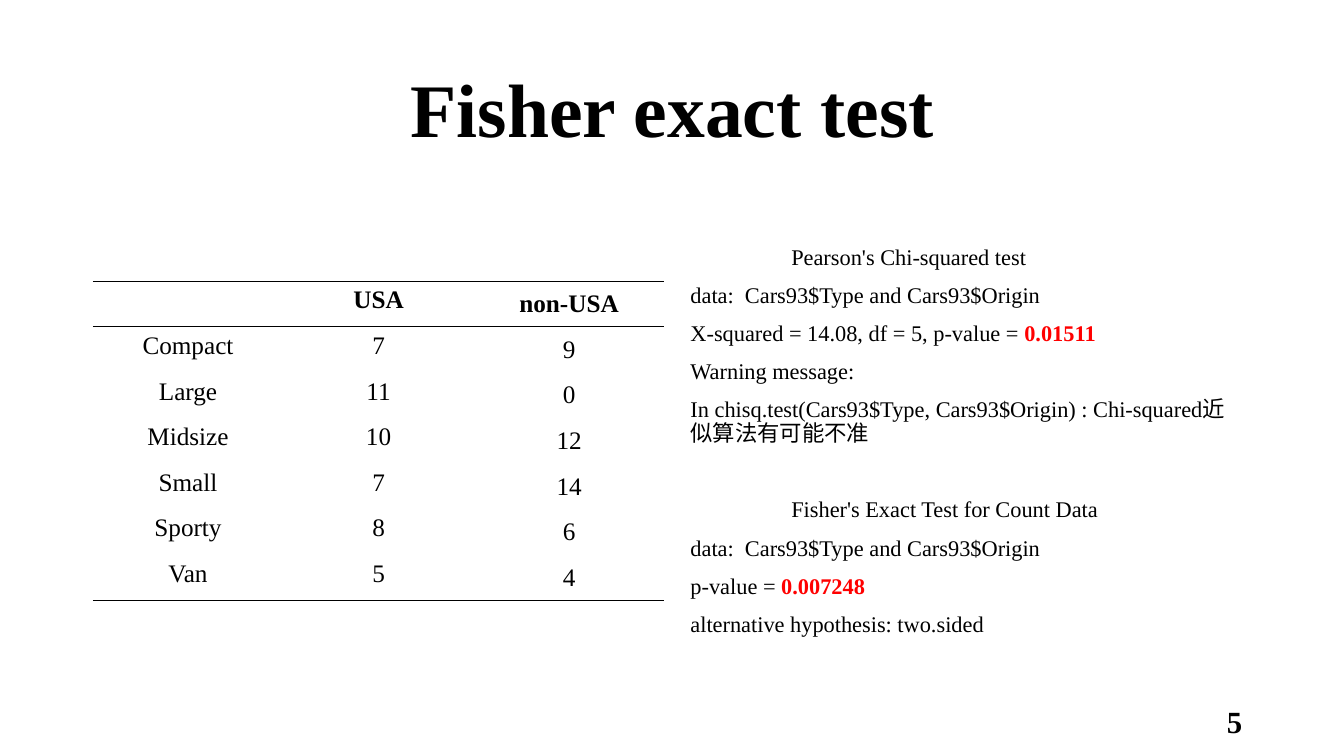
from dataclasses import dataclass

from lxml.etree import SubElement
from pptx import Presentation
from pptx.dml.color import RGBColor as Rgb
from pptx.enum.text import MSO_ANCHOR as Anchor, PP_ALIGN as Align
from pptx.oxml import parse_xml
from pptx.oxml.ns import qn
from pptx.util import Inches, Pt

# Content
TITLE = "Fisher exact test"
PAGE = "5"
CAR_COUNTS = [
    ("", "USA", "non-USA"),
    ("Compact", "7", "9"),
    ("Large", "11", "0"),
    ("Midsize", "10", "12"),
    ("Small", "7", "14"),
    ("Sporty", "8", "6"),
    ("Van", "5", "4"),
]
# Each test: heading, then lines as (plain text, highlighted text)
TESTS = [
    ("Pearson's Chi-squared test", [
        ("data:  Cars93$Type and Cars93$Origin", ""),
        ("X-squared = 14.08, df = 5, p-value = ", "0.01511"),
        ("Warning message:", ""),
        ("In chisq.test(Cars93$Type, Cars93$Origin) : Chi-squared近似算法有可能不准", ""),
    ]),
    ("Fisher's Exact Test for Count Data", [
        ("data:  Cars93$Type and Cars93$Origin", ""),
        ("p-value = ", "0.007248"),
        ("alternative hypothesis: two.sided", ""),
    ]),
]


@dataclass(frozen=True)
class Theme:
    font: str = "Times New Roman"
    ink: str = "000000"
    accent: str = "FF0000"
    paper: str = "FFFFFF"
    title: int = 54
    table: int = 18
    body: int = 16
    page: int = 22
    leading: float = 0.9
    gap: int = 10
    test_gap: int = 37
    rule: int = 1


THEME = Theme()
NO_TABLE_STYLE = "{2D5ABB26-0587-4C30-8999-92F81FD0307C}"
LEFT, COLUMN_W, RIGHT_COLUMN = 0.92, 5.67, 6.75
TABLE_TOP, TABLE_H = 2.79, 3.17


def write(paragraph, text, size, bold=False, color=THEME.ink, align=None,
          leading=None, before=None):
    """Add a formatted run and set the paragraph's layout."""
    run = paragraph.add_run()
    run.text = text
    run.font.name, run.font.size, run.font.bold = THEME.font, Pt(size), bold
    run.font.color.rgb = Rgb.from_string(color)
    if align is not None:
        paragraph.alignment = align
    if leading is not None:
        paragraph.line_spacing = leading
    if before is not None:
        paragraph.space_before = Pt(before)


def add_box(slide, left, top, width, height):
    box = slide.shapes.add_textbox(*map(Inches, (left, top, width, height)))
    box.text_frame.word_wrap = True
    box.text_frame.vertical_anchor = Anchor.MIDDLE
    return box.text_frame


def rule_cell(cell, sides):
    """Draw the rules of a cell; they come before its fill."""
    props = cell._tc.get_or_add_tcPr()
    for index, side in enumerate(sides):
        line = SubElement(props, qn(f"a:ln{side}"), w=str(Pt(THEME.rule)))
        fill = SubElement(line, qn("a:solidFill"))
        SubElement(fill, qn("a:srgbClr"), val=THEME.ink)
        props.insert(index, line)


def add_title(slide):
    title = slide.shapes.title
    title.left, title.top, title.width, title.height = map(
        Inches, (LEFT, 0.4, 11.5, 1.45))
    title.text_frame.vertical_anchor = Anchor.MIDDLE
    write(title.text_frame.paragraphs[0], TITLE, THEME.title, bold=True,
          align=Align.CENTER, leading=THEME.leading)


def add_counts(slide):
    rows, cols = len(CAR_COUNTS), len(CAR_COUNTS[0])
    frame = slide.shapes.add_table(
        rows, cols, *map(Inches, (LEFT, TABLE_TOP, COLUMN_W, TABLE_H)))
    table = frame.table
    table.first_row = table.horz_banding = False
    table._tbl.tblPr.find(qn("a:tableStyleId")).text = NO_TABLE_STYLE
    for row in table.rows:
        row.height = Inches(TABLE_H / rows)
    for r, record in enumerate(CAR_COUNTS):
        sides = "TB" if r == 0 else "B" if r == rows - 1 else ""
        for c, value in enumerate(record):
            cell = table.cell(r, c)
            cell.fill.background()
            cell.vertical_anchor = Anchor.MIDDLE if c == cols - 1 else Anchor.TOP
            rule_cell(cell, sides)
            if value:
                write(cell.text_frame.paragraphs[0], value, THEME.table,
                      bold=r == 0, align=Align.CENTER)


def add_tests(slide):
    frame = add_box(slide, RIGHT_COLUMN, 2, COLUMN_W, 4.76)
    for number, (heading, lines) in enumerate(TESTS):
        # Indented heading, set apart from the test above it
        paragraph = frame.add_paragraph() if number else frame.paragraphs[0]
        write(paragraph, heading, THEME.body, leading=THEME.leading,
              before=THEME.test_gap if number else THEME.gap)
        paragraph._p.get_or_add_pPr().set("marL", str(Inches(1)))
        for plain, highlight in lines:
            paragraph = frame.add_paragraph()
            write(paragraph, plain, THEME.body, leading=THEME.leading,
                  before=THEME.gap)
            if highlight:
                write(paragraph, highlight, THEME.body, bold=True,
                      color=THEME.accent)


def main():
    deck = Presentation()
    deck.slide_width, deck.slide_height = Inches(13.33), Inches(7.5)
    slide = deck.slides.add_slide(deck.slide_layouts[5])
    slide.background.fill.solid()
    slide.background.fill.fore_color.rgb = Rgb.from_string(THEME.paper)

    add_title(slide)
    add_counts(slide)
    add_tests(slide)

    # Page number
    page = add_box(slide, 9.42, 6.95, 3, 0.4)
    write(page.paragraphs[0], PAGE, THEME.page, bold=True, align=Align.RIGHT)

    deck.save("out.pptx")


if __name__ == "__main__":
    main()
